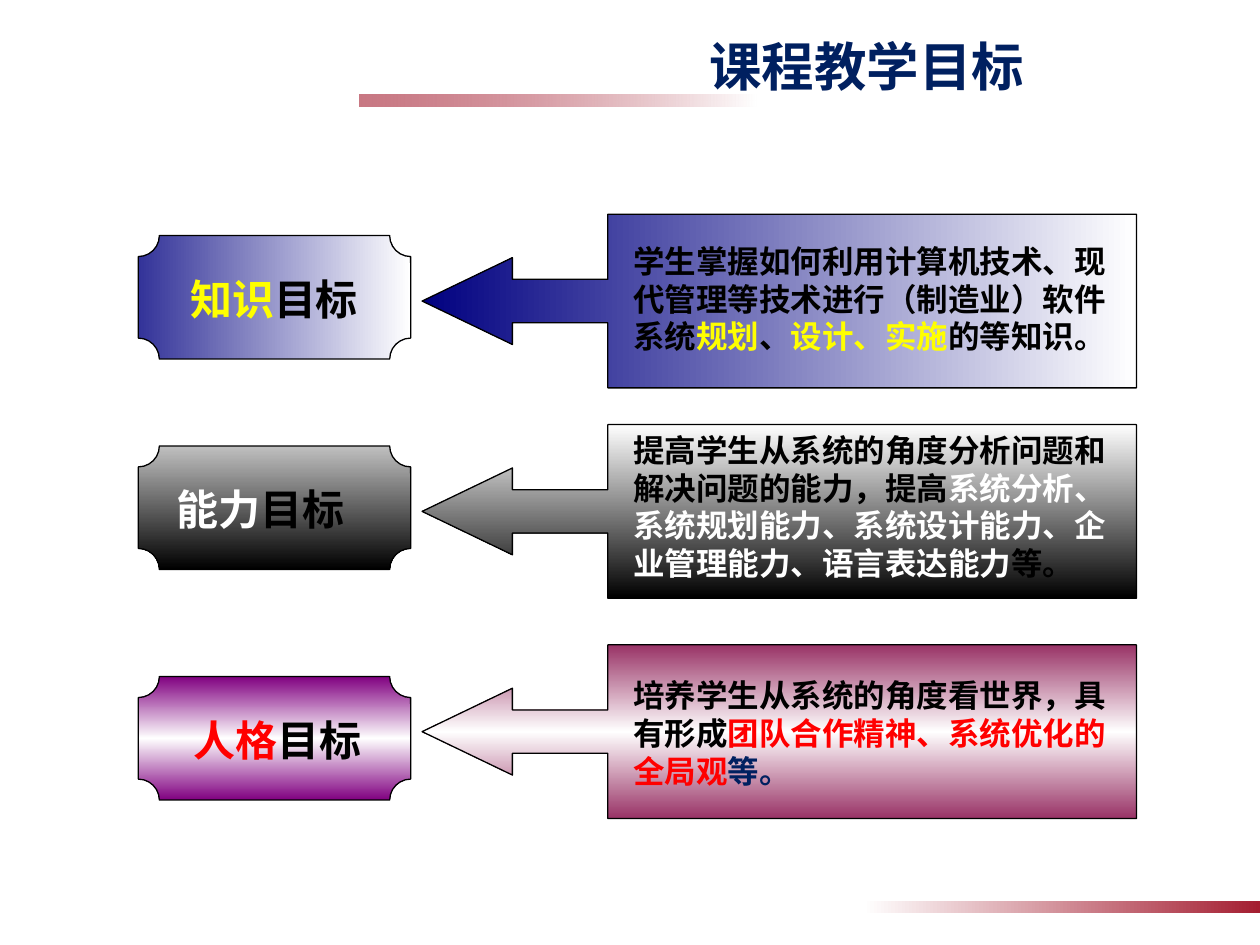
from lxml.etree import SubElement
from pptx import Presentation
from pptx.dml.color import RGBColor
from pptx.enum.shapes import MSO_SHAPE as Shape
from pptx.enum.text import MSO_ANCHOR as Anchor, MSO_AUTO_SIZE as AutoSize, PP_ALIGN as Align
from pptx.oxml.ns import qn
from pptx.util import Cm, Pt

FONT = "Noto Sans CJK SC"
BLACK = RGBColor(0x00, 0x00, 0x00)
WHITE = RGBColor(0xFF, 0xFF, 0xFF)
YELLOW = RGBColor(0xFF, 0xFF, 0x00)
RED = RGBColor(0xFF, 0x00, 0x00)
DARK_BLUE = RGBColor(0x00, 0x20, 0x60)
CRIMSON = RGBColor(0xA4, 0x1E, 0x31)
INDIGO = RGBColor(0x33, 0x33, 0x99)
NAVY = RGBColor(0x00, 0x00, 0x80)
SILVER = RGBColor(0xC0, 0xC0, 0xC0)
PURPLE = RGBColor(0x80, 0x00, 0x80)
PLUM = RGBColor(0x99, 0x33, 0x66)

GOALS = [
    dict(plaque_y=4.75, plaque_fill=[INDIGO, WHITE], angle=0,
         callout_y=4.32, callout_fill=[NAVY, WHITE],
         label_box=(3.15, 5.38, 4.75, 1.27),
         label=[("知识", YELLOW), ("目标", BLACK)],
         body_y=4.75, body_h=2.57,
         body=[("学生掌握如何利用计算机技术、现代管理等技术进行（制造业）软件系统", BLACK),
               ("规划", YELLOW), ("、", BLACK), ("设计、实施", YELLOW),
               ("的等知识。", BLACK)]),
    dict(plaque_y=8.99, plaque_fill=[SILVER, BLACK], angle=90,
         callout_y=8.56, callout_fill=[WHITE, BLACK],
         label_box=(2.9, 9.63, 4.72, 1.27),
         label=[("能力", WHITE), ("目标", BLACK)],
         body_y=8.56, body_h=3.33,
         body=[("提高学生从系统的角度分析问题和解决问题的能力，提高", BLACK),
               ("系统分析、系统规划能力、系统设计能力、企业管理能力、语言表达能力", WHITE),
               ("等。", BLACK)]),
    dict(plaque_y=13.64, plaque_fill=[PURPLE, WHITE, PURPLE], angle=90,
         callout_y=13, callout_fill=[PLUM, WHITE, PLUM],
         label_box=(3.48, 14.27, 4.24, 1.27),
         label=[("人格", RED), ("目标", BLACK)],
         body_y=13.51, body_h=2.57,
         body=[("培养学生从系统的角度看世界，具有形成", BLACK),
               ("团队合作精神、系统优化的全局观", RED), ("等。", DARK_BLUE)]),
]


class Deck:
    """Holds the style and the current slide, and draws each kind of element."""

    def __init__(self, prs, font):
        self.font = font
        self.s = prs.slides.add_slide(prs.slide_layouts[5])

    def add_runs(self, tf, runs, size, align):
        p = tf.paragraphs[0]
        p.alignment = align
        for text, color in runs:
            r = p.add_run()
            r.text = text
            r.font.name = self.font
            r.font.size = Pt(size)
            r.font.bold = True
            r.font.color.rgb = color
            SubElement(r.font._element, qn("a:ea"), typeface=self.font)

    def title(self, box, runs):
        sp = self.s.shapes.title
        sp.left, sp.top, sp.width, sp.height = map(Cm, box)
        tf = sp.text_frame
        tf.auto_size = AutoSize.NONE
        tf.vertical_anchor = Anchor.MIDDLE
        self.add_runs(tf, runs, 30, Align.CENTER)

    def text(self, box, runs, size, align=Align.LEFT):
        tf = self.s.shapes.add_textbox(*map(Cm, box)).text_frame
        tf.word_wrap = True
        tf.auto_size = AutoSize.SHAPE_TO_FIT_TEXT
        self.add_runs(tf, runs, size, align)

    def gradient(self, sp, colors, angle, end_alpha):
        sp.fill.gradient()
        grad = sp._element.spPr.find(qn("a:gradFill"))
        for child in list(grad):
            grad.remove(child)
        stops = SubElement(grad, qn("a:gsLst"))
        last = len(colors) - 1
        for i, color in enumerate(colors):
            gs = SubElement(stops, qn("a:gs"), pos=str(100000 * i // last))
            clr = SubElement(gs, qn("a:srgbClr"), val=str(color))
            if i == last and end_alpha < 100:
                SubElement(clr, qn("a:alpha"), val=str(end_alpha * 1000))
        SubElement(grad, qn("a:lin"), ang=str(angle * 60000), scaled="0")

    def shape(self, kind, box, colors, angle=0, adj=(), outline=True, end_alpha=100):
        sp = self.s.shapes.add_shape(kind, *map(Cm, box))
        sp.shadow.inherit = False
        for i, value in enumerate(adj):
            sp.adjustments[i] = value
        self.gradient(sp, colors, angle, end_alpha)
        if outline:
            sp.line.color.rgb = BLACK
            sp.line.width = Pt(0.75)
        else:
            sp.line.fill.background()
        return sp


def main():
    prs = Presentation()
    prs.slide_width, prs.slide_height = Cm(25.4), Cm(19.05)
    deck = Deck(prs, FONT)

    bar = deck.shape(Shape.RECTANGLE, (7.24, 1.9, 8, 0.25), [WHITE, CRIMSON],
                     outline=False, end_alpha=60)
    bar.rotation = 180
    deck.shape(Shape.RECTANGLE, (17.4, 18.16, 8, 0.25), [WHITE, CRIMSON], outline=False)
    deck.title((9.55, 0.53, 15.85, 1.6), [("课程教学目标", DARK_BLUE)])

    for g in GOALS:
        deck.shape(Shape.PLAQUE, (2.79, g["plaque_y"], 5.49, 2.49),
                   g["plaque_fill"], g["angle"], [0.17])
        deck.shape(Shape.LEFT_ARROW_CALLOUT, (8.51, g["callout_y"], 14.4, 3.5),
                   g["callout_fill"], g["angle"], [0.25, 0.25, 0.52, 0.74])
        deck.text(g["label_box"], g["label"], 24, Align.CENTER)
        deck.text((12.52, g["body_y"], 10.39, g["body_h"]), g["body"], 18)

    prs.save("out.pptx")


if __name__ == "__main__":
    main()
